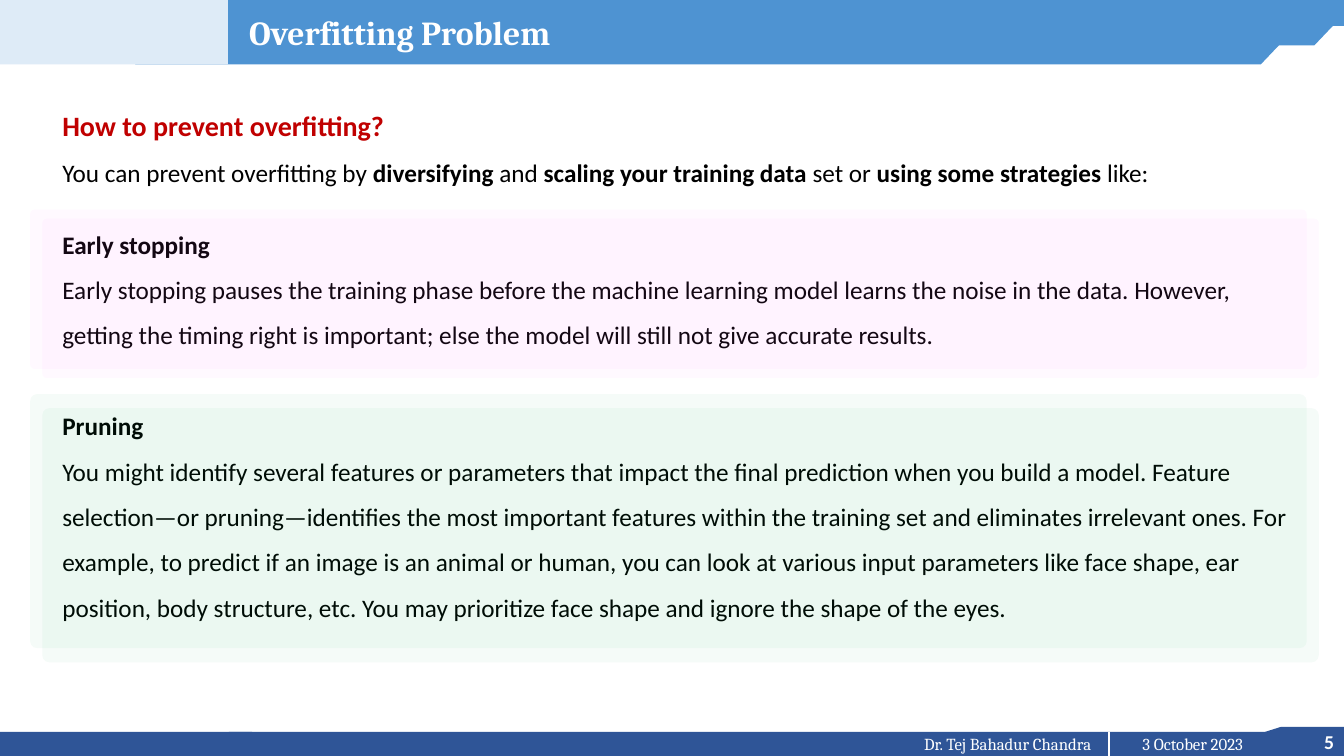
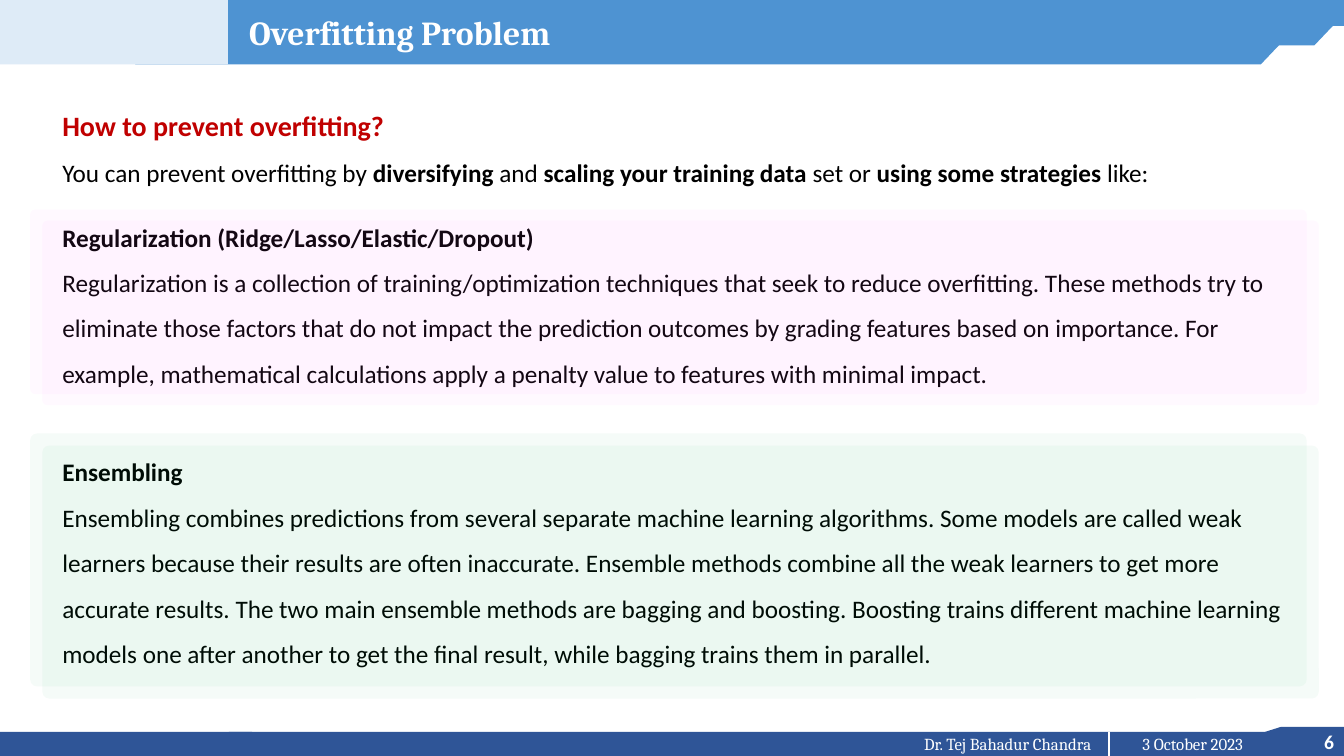
import pptx
import pptx.util
import pptx.dml.color
import pptx.enum.shapes
import pptx.enum.text
import pptx.oxml.ns
import lxml.etree

Inches = pptx.util.Inches
Pt = pptx.util.Pt
RGBColor = pptx.dml.color.RGBColor
Shape = pptx.enum.shapes.MSO_SHAPE
Align = pptx.enum.text.PP_ALIGN
AutoSize = pptx.enum.text.MSO_AUTO_SIZE
Anchor = pptx.enum.text.MSO_ANCHOR
qn = pptx.oxml.ns.qn

NAVY = RGBColor(0x2F, 0x55, 0x97)
BLUE = RGBColor(0x4E, 0x93, 0xD2)
PALE_BLUE = RGBColor(0xDE, 0xEB, 0xF7)
RED = RGBColor(0xC0, 0x00, 0x00)
PINK = RGBColor(0xFF, 0x66, 0xFF)
GREEN = RGBColor(0x00, 0xB0, 0x50)
BLACK = RGBColor(0x00, 0x00, 0x00)
WHITE = RGBColor(0xFF, 0xFF, 0xFF)

BODY_FONT = "Calibri"
HEAD_FONT = "Cambria"
PANEL_LEFT, PANEL_SHIFT, PANEL_WIDTH = 0.3, 0.12, 12.66

FOOTER_BANDS = [
    (Shape.FLOWCHART_CARD, 12.55, 7.21, 0.79, 0.25, NAVY, None),
    (Shape.RECTANGLE, -0.01, 7.26, 2.51, 0.26, NAVY, None),
    (Shape.RECTANGLE, 2.27, 7.26, 11.07, 0.24, NAVY, None),
]
HEADER_BANDS = [
    (Shape.PARALLELOGRAM, 1.82, -0.01, 11.53, 0.27, BLUE, 0),
    (Shape.PARALLELOGRAM, 1.93, 0.11, 11.43, 0.34, BLUE, 0.95),
    (Shape.PARALLELOGRAM, 1.34, 0.36, 11.43, 0.28, BLUE, 0.95),
    (Shape.RECTANGLE, 0, -0.01, 2.26, 0.65, PALE_BLUE, None),
]

TITLE = "Overfitting Problem"
QUESTION = "How to prevent overfitting?"
INTRO = [
    ("You can prevent overfitting by ", False),
    ("diversifying", True),
    (" and ", False),
    ("scaling your training data ", True),
    ("set or ", False),
    ("using some strategies", True),
    (" like:", False),
]

PAGES = [
    {
        "number": 5,
        "height": 5.56,
        "strategies": [
            (19, "Early stopping",
             "Early stopping pauses the training phase before the machine learning model learns "
             "the noise in the data. However, getting the timing right is important; else the "
             "model will still not give accurate results."),
            (32.5, "Pruning",
             "You might identify several features or parameters that impact the final prediction "
             "when you build a model. Feature selection—or pruning—identifies the most important "
             "features within the training set and eliminates irrelevant ones. For example, to "
             "predict if an image is an animal or human, you can look at various input parameters "
             "like face shape, ear position, body structure, etc. You may prioritize face shape "
             "and ignore the shape of the eyes."),
        ],
        "panels": [(PINK, 2.08, 2.17, 1.58), (GREEN, 3.91, 4.05, 2.52)],
    },
    {
        "number": 6,
        "height": 5.83,
        "strategies": [
            (14, "Regularization (Ridge/Lasso/Elastic/Dropout)",
             "Regularization is a collection of training/optimization techniques that seek to "
             "reduce overfitting. These methods try to eliminate those factors that do not impact "
             "the prediction outcomes by grading features based on importance. For example, "
             "mathematical calculations apply a penalty value to features with minimal impact."),
            (38, "Ensembling",
             "Ensembling combines predictions from several separate machine learning algorithms. "
             "Some models are called weak learners because their results are often inaccurate. "
             "Ensemble methods combine all the weak learners to get more accurate results. The two "
             "main ensemble methods are bagging and boosting. Boosting trains different machine "
             "learning models one after another to get the final result, while bagging trains "
             "them in parallel."),
        ],
        "panels": [(PINK, 2.08, 2.19, 1.83), (GREEN, 4.3, 4.42, 2.51)],
    },
]


def add_block(page, preset, left, top, width, height, color, adjustment=None):
    block = page.shapes.add_shape(
        preset, Inches(left), Inches(top), Inches(width), Inches(height))
    block.shadow.inherit = False
    block.fill.solid()
    block.fill.fore_color.rgb = color
    block.line.fill.background()
    if adjustment is not None:
        block.adjustments[0] = adjustment
    return block


def add_span(para, text, size, color, font=BODY_FONT, bold=False):
    span = para.add_run()
    span.text = text
    span.font.name = font
    span.font.size = Pt(size)
    span.font.bold = bold
    span.font.color.rgb = color


def add_box(page, left, top, width, height):
    box = page.shapes.add_textbox(Inches(left), Inches(top), Inches(width), Inches(height))
    box.text_frame.word_wrap = True
    box.text_frame.auto_size = AutoSize.SHAPE_TO_FIT_TEXT
    return box


def add_label(page, left, top, width, height, text, size, font, align, bold=False):
    para = add_box(page, left, top, width, height).text_frame.paragraphs[0]
    para.alignment = align
    add_span(para, text, size, WHITE, font, bold)


def add_divider(page):
    divider = page.shapes.add_connector(
        pptx.enum.shapes.MSO_CONNECTOR.STRAIGHT,
        Inches(11), Inches(7.26), Inches(11), Inches(7.51))
    divider.line.color.rgb = WHITE
    divider.line.width = Pt(1.5)
    lxml.etree.SubElement(divider.element.spPr, qn("a:effectLst"))


def add_frame(page, number):
    for band in FOOTER_BANDS:
        add_block(page, *band)
    add_label(page, 12.43, 7.19, 0.9, 0.34, str(number), 14, BODY_FONT, Align.RIGHT, True)
    for band in HEADER_BANDS:
        add_block(page, *band)
    add_label(page, 11, 7.23, 1.66, 0.3, "3 October 2023", 12, HEAD_FONT, Align.CENTER)
    add_divider(page)
    add_label(page, 8.97, 7.23, 2.05, 0.3, "Dr. Tej Bahadur Chandra", 12, HEAD_FONT, Align.CENTER)


def set_title(page, text):
    title = page.shapes.title
    title.left, title.top = Inches(2.37), Inches(0.07)
    title.width, title.height = Inches(3.29), Inches(0.5)
    frame = title.text_frame
    frame.word_wrap = False
    frame.auto_size = AutoSize.SHAPE_TO_FIT_TEXT
    frame.vertical_anchor = Anchor.TOP
    para = frame.paragraphs[0]
    para.alignment = Align.LEFT
    add_span(para, text, 24, WHITE, HEAD_FONT, True)
    title.element.getparent().append(title.element)


def add_body(page, height, strategies):
    frame = add_box(page, 0.52, 0.86, 12.54, height).text_frame
    add_span(frame.paragraphs[0], QUESTION, 20, RED, bold=True)
    intro = frame.add_paragraph()
    for text, bold in INTRO:
        add_span(intro, text, 18, BLACK, bold=bold)
    for gap, heading, explanation in strategies:
        para = frame.add_paragraph()
        para.space_before = Pt(gap)
        add_span(para, heading, 18, BLACK, bold=True)
        add_span(frame.add_paragraph(), explanation, 18, BLACK)
    for para in frame.paragraphs:
        para.line_spacing = 1.5


def add_panel(page, color, back_top, front_top, height):
    for step, top in enumerate((back_top, front_top)):
        left = PANEL_LEFT + step * PANEL_SHIFT
        sheet = add_block(
            page, Shape.ROUNDED_RECTANGLE, left, top, PANEL_WIDTH, height, color, 0.027)
        tint = sheet.element.spPr.find(qn("a:solidFill")).find(qn("a:srgbClr"))
        lxml.etree.SubElement(tint, qn("a:alpha")).set("val", "4000")


def main():
    deck = pptx.Presentation()
    deck.slide_width, deck.slide_height = Inches(13.33), Inches(7.5)
    for content in PAGES:
        page = deck.slides.add_slide(deck.slide_layouts[5])
        add_frame(page, content["number"])
        set_title(page, TITLE)
        add_body(page, content["height"], content["strategies"])
        for panel in content["panels"]:
            add_panel(page, *panel)
    deck.save("out.pptx")


if __name__ == "__main__":
    main()
